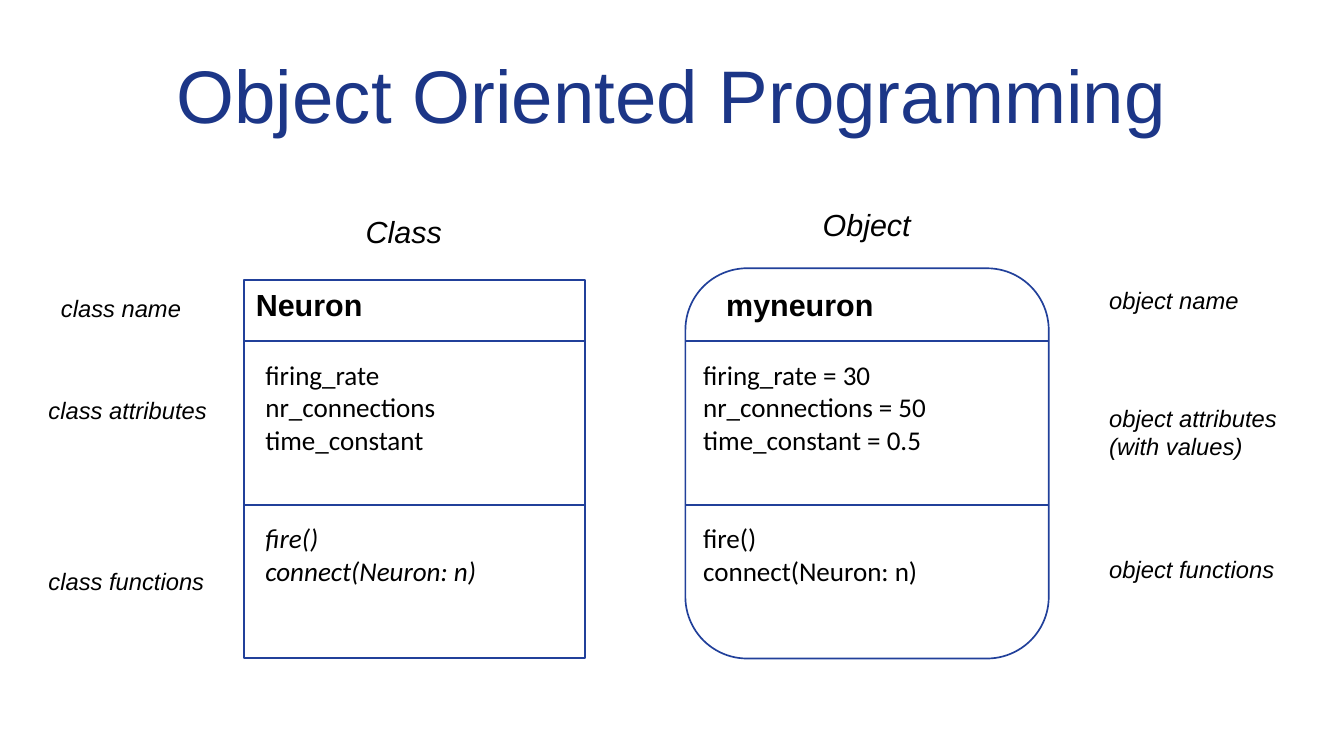
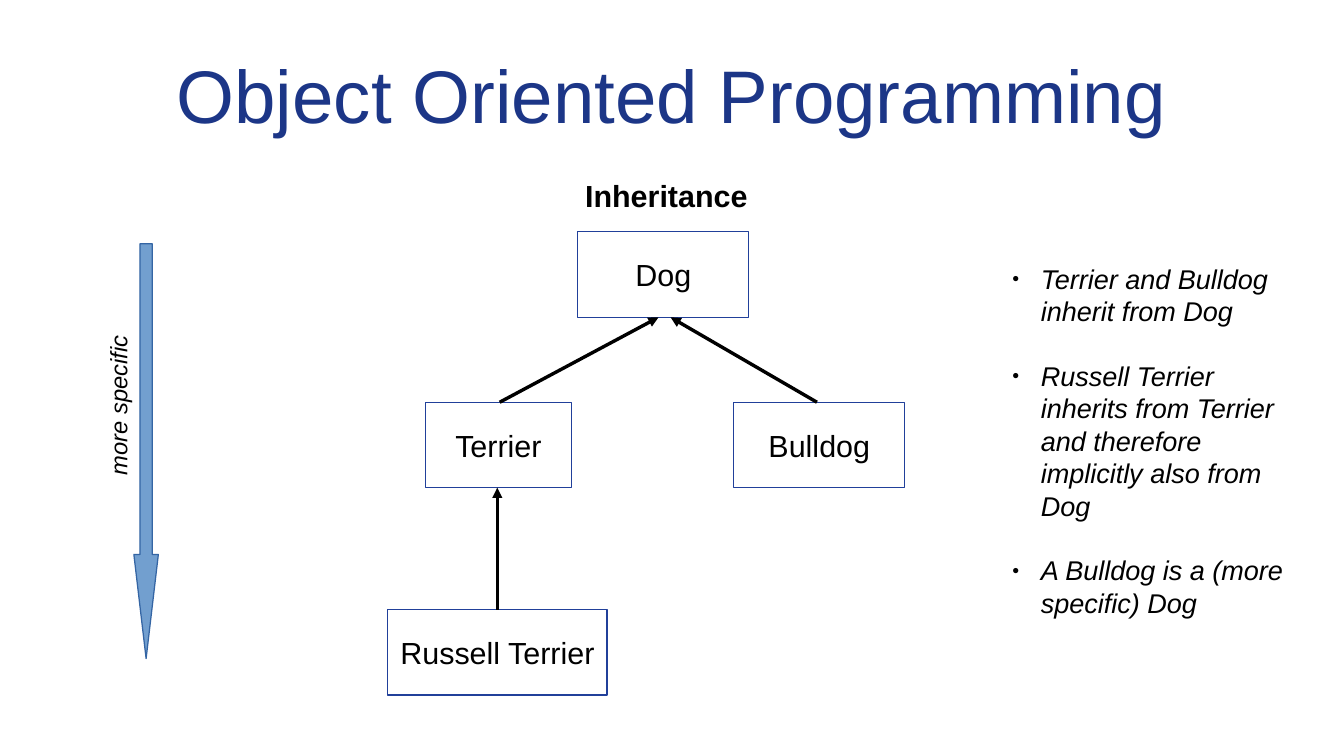
from pptx import Presentation
from pptx.dml.color import RGBColor
from pptx.enum.shapes import MSO_CONNECTOR, MSO_SHAPE
from pptx.enum.text import MSO_ANCHOR, MSO_AUTO_SIZE, PP_ALIGN
from pptx.oxml.ns import qn
from pptx.util import Cm, Pt
from lxml.etree import SubElement

COLORS = {
    "title": "1C3687",
    "outline": "21409A",
    "text": "000000",
    "paper": "FFFFFF",
    "arrow": "729FCF",
    "arrow_edge": "3465A4",
}
TITLE = "Object Oriented Programming"
NAME_Y, ATTR_Y, FUNC_Y = 5.84, 7.34, 10.74
DIVIDERS = (7.11, 10.52)
BOX_W = 7.11
NODE_H = 1.78
LEVELS = (4.83, 8.38, 12.7)


def rgb(name):
    return RGBColor.from_string(COLORS[name])


def box(x, y, w, h):
    return Cm(x), Cm(y), Cm(w), Cm(h)


def place(shape, x, y, w, h):
    shape.left, shape.top, shape.width, shape.height = box(x, y, w, h)


def style(p, size, color="text", font="Arial", bold=False, italic=False):
    for r in p.runs:
        r.font.name = font
        r.font.size = Pt(size)
        r.font.bold = bold
        r.font.italic = italic
        r.font.color.rgb = rgb(color)


def add_slide(prs, layout):
    s = prs.slides.add_slide(prs.slide_layouts[layout])
    title = s.shapes.title
    place(title, 1.4, 0.64, 25.2, 2.64)
    tf = title.text_frame
    tf.text = TITLE
    tf.auto_size = MSO_AUTO_SIZE.NONE
    tf.vertical_anchor = MSO_ANCHOR.MIDDLE
    tf.margin_left = tf.margin_right = tf.margin_top = tf.margin_bottom = 0
    tf.paragraphs[0].alignment = PP_ALIGN.CENTER
    style(tf.paragraphs[0], 44, "title")
    return s


def add_text(shapes, text, x, y, w, h, size, **look):
    tb = shapes.add_textbox(*box(x, y, w, h))
    tf = tb.text_frame
    tf.text = text
    tf.word_wrap = True
    for p in tf.paragraphs:
        style(p, size, **look)
    return tb


def add_outline(shapes, kind, x, y, w, h, width, fill="paper", line="outline"):
    sp = shapes.add_shape(kind, *box(x, y, w, h))
    sp.shadow.inherit = False
    sp.fill.solid()
    sp.fill.fore_color.rgb = rgb(fill)
    sp.line.color.rgb = rgb(line)
    sp.line.width = Pt(width)
    return sp


def add_line(shapes, x1, y1, x2, y2, color, width, arrow=False):
    line = shapes.add_connector(MSO_CONNECTOR.STRAIGHT, Cm(x1), Cm(y1), Cm(x2), Cm(y2))
    line.line.color.rgb = rgb(color)
    line.line.width = Pt(width)
    if arrow:
        SubElement(line.line._get_or_add_ln(), qn("a:tailEnd"), type="triangle")
    SubElement(line._element.spPr, qn("a:effectLst"))


def add_card(s, kind, frame, name, name_x, body_x, attributes, functions, italic):
    shapes = s.shapes.add_group_shape().shapes
    x, _, w, _ = frame
    card = add_outline(shapes, kind, *frame, 1)
    if kind == MSO_SHAPE.ROUNDED_RECTANGLE:
        card.adjustments[0] = 0.17
    add_text(shapes, name, name_x, NAME_Y, BOX_W, 0.97, 18, bold=True)
    add_text(shapes, attributes, body_x, ATTR_Y, BOX_W, 3.25, 16, font="Calibri")
    add_text(shapes, functions, body_x, FUNC_Y, BOX_W, 2.34, 16, font="Calibri", italic=italic)
    for y in DIVIDERS:
        add_line(shapes, x, y, x + w, y, "outline", 1)


def add_node(s, text, x, y, w):
    sp = add_outline(s.shapes, MSO_SHAPE.RECTANGLE, x, y, w, NODE_H, 0)
    tf = sp.text_frame
    tf.text = text
    tf.word_wrap = False
    tf.vertical_anchor = MSO_ANCHOR.MIDDLE
    tf.paragraphs[0].alignment = PP_ALIGN.CENTER
    style(tf.paragraphs[0], 18)


def add_bullet(p):
    pPr = p._p.get_or_add_pPr()
    pPr.set("marL", str(Cm(0.6)))
    pPr.set("indent", str(-Cm(0.6)))
    SubElement(SubElement(pPr, qn("a:buClr")), qn("a:srgbClr"), val=COLORS["text"])
    SubElement(pPr, qn("a:buSzPct"), val="45000")
    SubElement(pPr, qn("a:buFont"), typeface="Arial")
    SubElement(pPr, qn("a:buChar"), char="●")


def fill_list(body, items):
    place(body, 20.83, 5.33, 6.4, 8.41)
    tf = body.text_frame
    tf.text = "\n".join(items)
    tf.auto_size = MSO_AUTO_SIZE.NONE
    for p in tf.paragraphs:
        add_bullet(p)
        p.space_before = Pt(0)
        p.space_after = Pt(19)
        style(p, 16, italic=True)


def build_class_and_object(prs):
    s = add_slide(prs, 5)
    add_card(s, MSO_SHAPE.RECTANGLE, (5.08, 5.84, 7.11, 7.87), "Neuron", 5.08, 5.28,
             "firing_rate\nnr_connections\ntime_constant",
             "fire()\nconnect(Neuron: n)", True)
    add_card(s, MSO_SHAPE.ROUNDED_RECTANGLE, (14.28, 5.59, 7.57, 8.13), "myneuron", 14.88, 14.4,
             "firing_rate = 30\nnr_connections = 50\ntime_constant = 0.5",
             "fire()\nconnect(Neuron: n)", False)
    for text, x, y in (("Class", 7.37, 4.32), ("Object", 16.89, 4.17)):
        add_text(s.shapes, text, x, y, BOX_W, 0.97, 18, italic=True)
    labels = (
        ("class name", 1.02, 5.99),
        ("class attributes", 0.76, 8.13),
        ("class functions", 0.76, 11.68),
        ("object name", 22.86, 5.84),
        ("object attributes (with values)", 22.86, 8.28),
        ("object functions", 22.86, 11.43),
    )
    for text, x, y in labels:
        add_text(s.shapes, text, x, y, 4.06, 1.37, 14, italic=True)


def build_inheritance(prs):
    s = add_slide(prs, 1)
    top, middle, bottom = LEVELS
    add_node(s, "Dog", 12.04, top, 3.56)
    add_node(s, "Bulldog", 15.29, middle, 3.56)
    add_node(s, "Terrier", 8.86, middle, 3.05)
    add_node(s, "Russell Terrier", 8.08, bottom, 4.57)
    links = (
        (10.41, middle, 13.72, top),
        (17.02, middle, 13.97, top),
        (10.36, bottom, 10.36, middle),
    )
    for x1, child_y, x2, parent_y in links:
        add_line(s.shapes, x1, child_y, x2, parent_y + NODE_H, "text", 0, arrow=True)
    arrow = add_outline(s.shapes, MSO_SHAPE.DOWN_ARROW, 2.79, 5.08, 0.51, 8.64, 0,
                        "arrow", "arrow_edge")
    arrow.adjustments[0] = 0.5
    arrow.adjustments[1] = 4.25
    add_text(s.shapes, "Inheritance", 11.94, 3.56, BOX_W, 0.97, 18, bold=True)
    axis = add_text(s.shapes, "more specific", -0.1, 7.21, 5.08, 0.81, 14, italic=True)
    axis.rotation = 270
    fill_list(s.placeholders[1], (
        "Terrier and Bulldog inherit from Dog",
        "Russell Terrier inherits from Terrier and therefore implicitly also from Dog",
        "A Bulldog is a (more specific) Dog",
    ))


def main():
    prs = Presentation()
    prs.slide_width, prs.slide_height = Cm(28), Cm(15.75)
    build_class_and_object(prs)
    build_inheritance(prs)
    prs.save("out.pptx")


if __name__ == "__main__":
    main()
